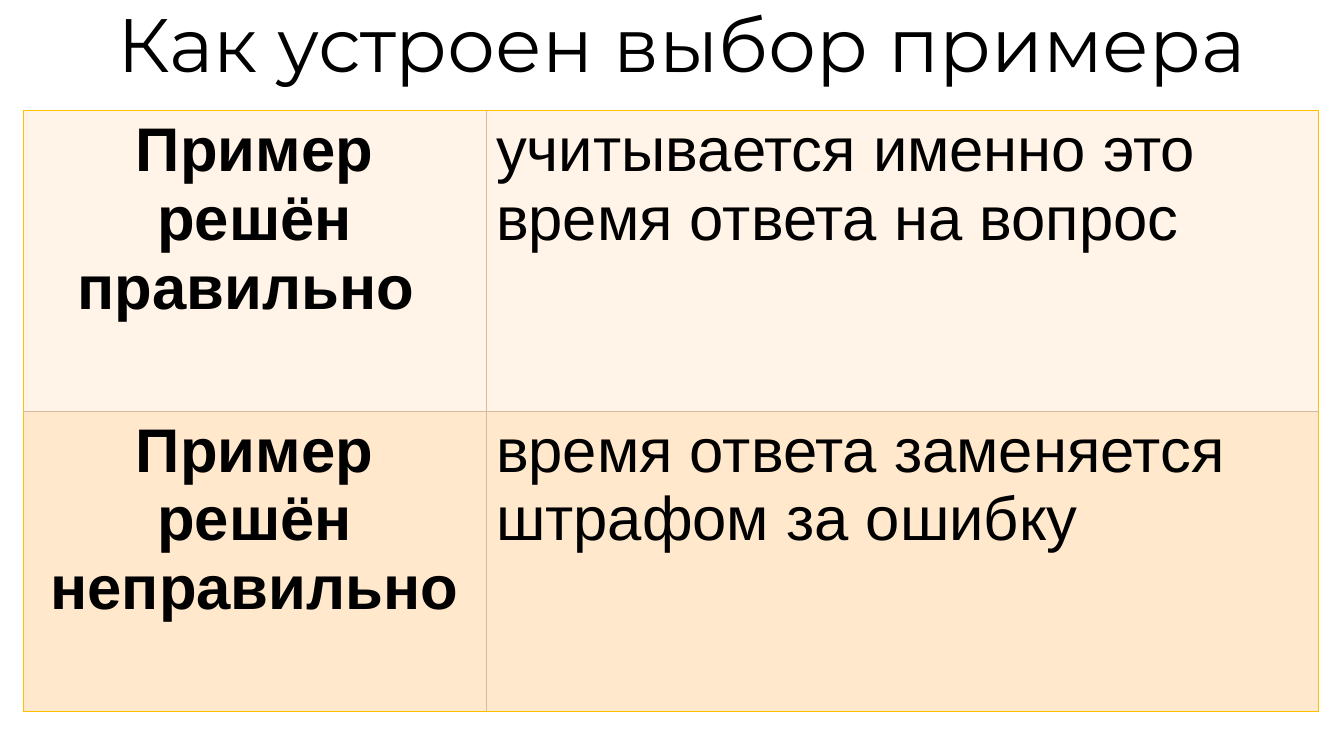
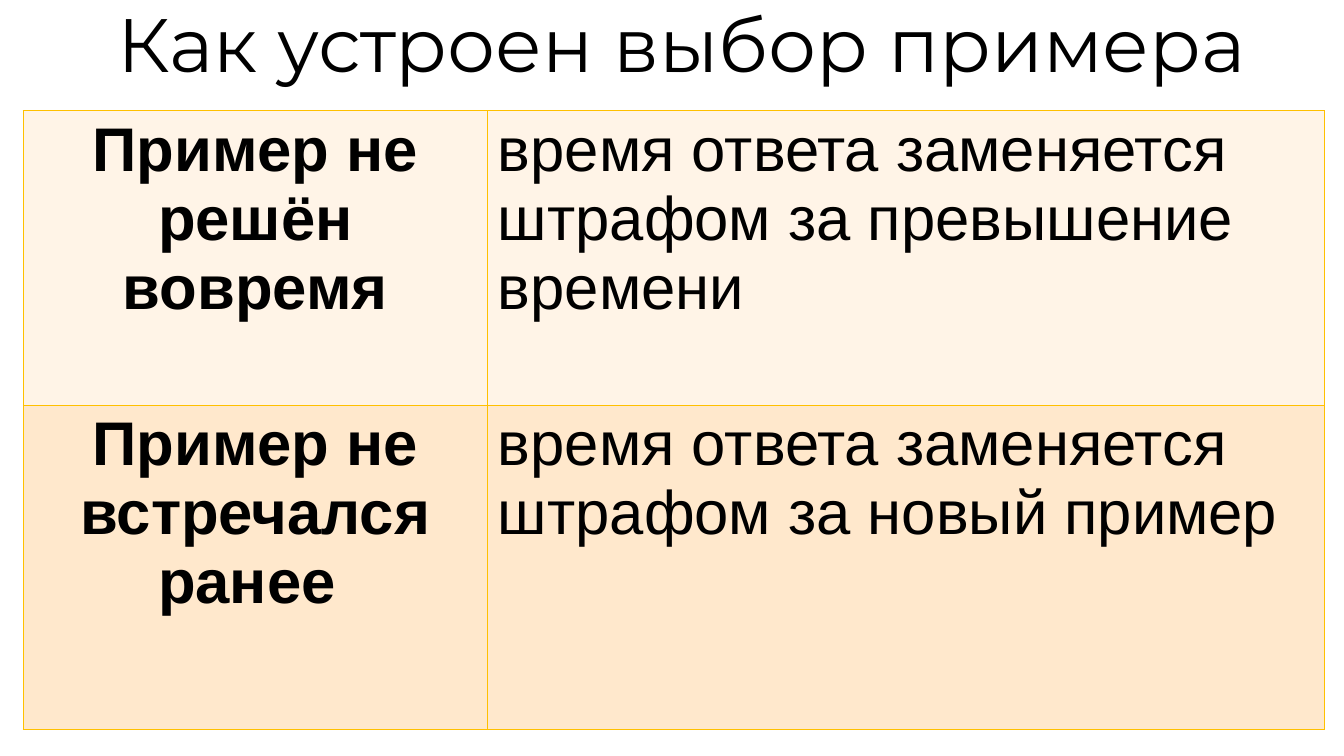
from lxml import etree
from pptx import Presentation
from pptx.dml.color import RGBColor
from pptx.enum.text import MSO_ANCHOR, PP_ALIGN
from pptx.oxml.ns import qn
from pptx.util import Pt

LEFT, CENTER = PP_ALIGN.LEFT, PP_ALIGN.CENTER
MIDDLE = MSO_ANCHOR.MIDDLE

BLACK, GOLD, TAN = "000000", "FFC000", "D9B99B"
FILLS = ["FFF4E7", "FFE8CC"]
EDGE, TOP = 16.6, 79.2
TITLE = "Как устроен выбор примера"
TITLE_BOX = (EDGE, 4.5, 940.3, 59.2)

SLIDES = [
    {
        "cols": [330.5, 594.7],
        "rows": [214.6, 214.6],
        "inner": (TAN, 0.5),
        "cells": [
            ("Пример решён правильно ",
             "учитывается именно это время ответа на вопрос"),
            ("Пример решён неправильно",
             "время ответа заменяется штрафом за ошибку"),
        ],
    },
    {
        "cols": [331.9, 597.6],
        "rows": [210.2, 231.8],
        "inner": (GOLD, 1),
        "cells": [
            ("Пример не решён вовремя",
             "время ответа заменяется штрафом за превышение времени"),
            ("Пример не встречался ранее ",
             "время ответа заменяется штрафом за новый пример"),
        ],
    },
]


def color(code):
    return RGBColor.from_string(code)


def write(frame, text, size=44, font="Arial", bold=False, align=LEFT,
          spacing=1.0):
    frame.word_wrap = True
    par = frame.paragraphs[0]
    par.alignment, par.line_spacing = align, spacing
    run = par.add_run()
    run.text = text
    run.font.size, run.font.name, run.font.bold = Pt(size), font, bold
    run.font.color.rgb = color(BLACK)


def add_title(slide):
    frame = slide.shapes.add_textbox(*map(Pt, TITLE_BOX)).text_frame
    frame.margin_left = frame.margin_right = 0
    frame.margin_top = frame.margin_bottom = 0
    frame.vertical_anchor = MIDDLE
    write(frame, TITLE, size=54, font="Montserrat", align=CENTER, spacing=0.9)


def set_border(cell, side, code, width):
    """Draw one side (L, R, T or B); call before the cell is filled."""
    props = cell._tc.get_or_add_tcPr()
    line = etree.SubElement(props, qn(f"a:ln{side}"), w=str(Pt(width)))
    fill = etree.SubElement(line, qn("a:solidFill"))
    etree.SubElement(fill, qn("a:srgbClr"), val=code)


def add_grid(slide, cols, rows, inner, cells):
    shape = slide.shapes.add_table(len(rows), len(cols), Pt(EDGE), Pt(TOP),
                                   Pt(sum(cols)), Pt(sum(rows)))
    table = shape.table
    table.first_row = table.horz_banding = False
    for col, width in zip(table.columns, cols):
        col.width = Pt(width)
    for r, height in enumerate(rows):
        table.rows[r].height = Pt(height)
        for c, text in enumerate(cells[r]):
            cell = table.cell(r, c)
            outer = {"L": c == 0, "R": c == len(cols) - 1,
                     "T": r == 0, "B": r == len(rows) - 1}
            for side, edge in outer.items():
                set_border(cell, side, *((GOLD, 1) if edge else inner))
            cell.fill.solid()
            cell.fill.fore_color.rgb = color(FILLS[r])
            head = c == 0
            write(cell.text_frame, text, bold=head,
                  align=CENTER if head else LEFT)


def main():
    deck = Presentation()
    deck.slide_width, deck.slide_height = Pt(960), Pt(540)
    for data in SLIDES:
        slide = deck.slides.add_slide(deck.slide_layouts[6])
        add_title(slide)
        add_grid(slide, **data)
    deck.save("out.pptx")


if __name__ == "__main__":
    main()
